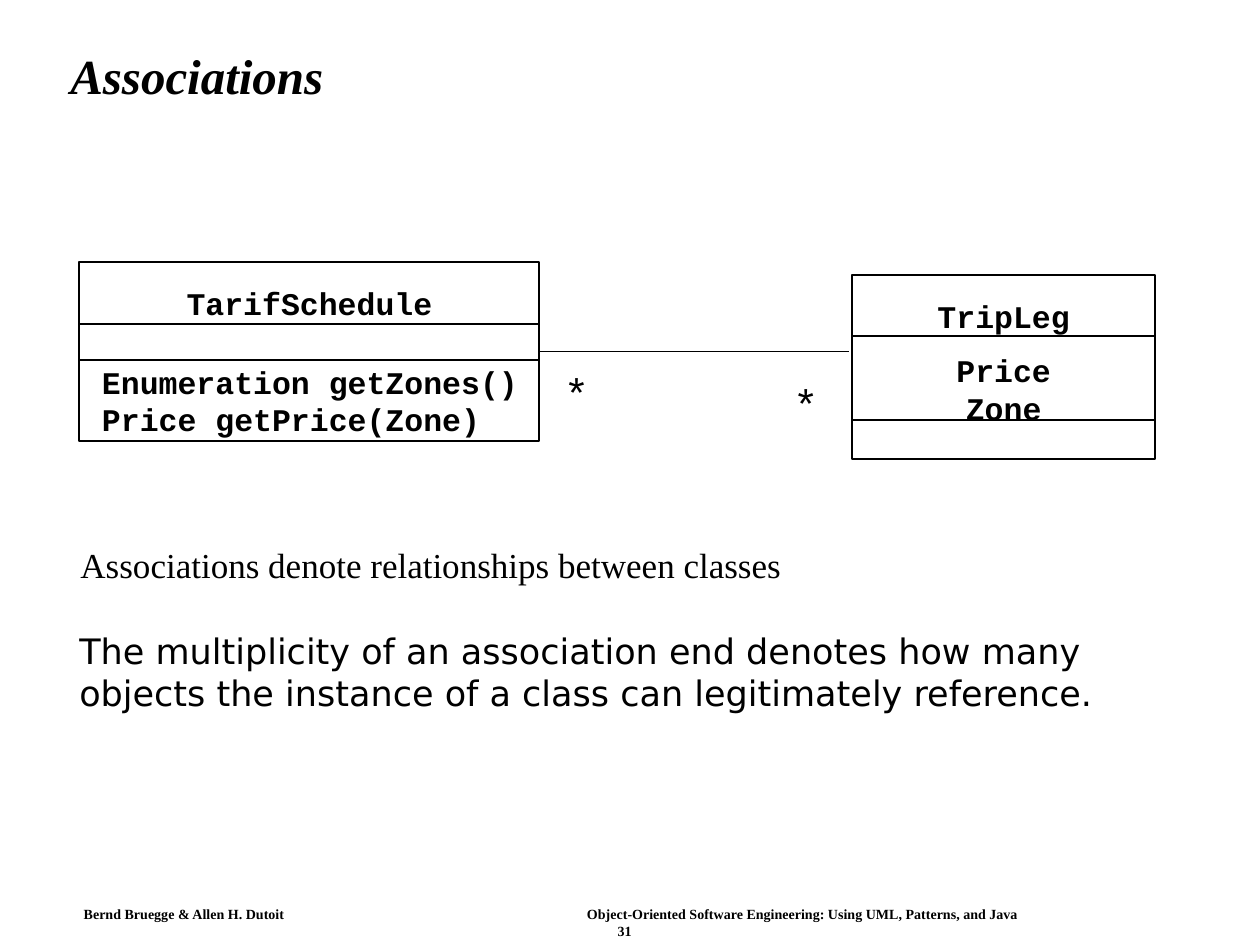
from dataclasses import dataclass

import pptx
import pptx.dml.color
import pptx.enum.shapes
import pptx.enum.text
import pptx.util
from lxml import etree
from pptx.oxml.ns import qn

Pt = pptx.util.Pt
ALIGN = pptx.enum.text.PP_ALIGN
ANCHOR = pptx.enum.text.MSO_ANCHOR


@dataclass(frozen=True)
class Theme:
    ink = pptx.dml.color.RGBColor(0, 0, 0)
    serif = "Times New Roman"
    code = "Courier New"
    symbol = "Arial"
    sans = "DejaVu Sans"
    title_size = 28
    body_size = 20
    code_size = 18
    star_size = 24
    footer_size = 8
    code_leading = 21.6


theme = Theme()
prs = pptx.Presentation()
prs.slide_width, prs.slide_height = Pt(720), Pt(540)
s = prs.slides.add_slide(prs.slide_layouts[6])


def add_text(lines, box, font, size, bold=False, align=ALIGN.LEFT,
             anchor=ANCHOR.TOP, inset=(7.2, 3.6), wrap=True, spacing=None):
    """Add a text box with one paragraph per line and return its paragraphs."""
    tf = s.shapes.add_textbox(*map(Pt, box)).text_frame
    tf.word_wrap = wrap
    tf.vertical_anchor = anchor
    tf.margin_left = tf.margin_right = Pt(inset[0])
    tf.margin_top = tf.margin_bottom = Pt(inset[1])
    tf.text = "\n".join(lines)
    for p in tf.paragraphs:
        p.alignment = align
        p.line_spacing = spacing
        p.font.name, p.font.size = font, Pt(size)
        p.font.bold = bold
        p.font.color.rgb = theme.ink
    return tf.paragraphs


# Title and statements
title, = add_text(["Associations"], (33.1, 17.3, 642.2, 55.4), theme.serif,
                  theme.title_size, bold=True, anchor=ANCHOR.MIDDLE, spacing=0.9)
title.font.italic = True
add_text(["Associations denote relationships between classes"],
         (38.9, 309.6, 650, 35.3), theme.serif, theme.body_size, spacing=0.9)
add_text(["The multiplicity of an association end denotes how many objects "
          "the instance of a class can legitimately reference."],
         (38.2, 356.4, 650, 56), theme.sans, theme.body_size)

# Association line
line = s.shapes.add_connector(pptx.enum.shapes.MSO_CONNECTOR.STRAIGHT,
                              Pt(308.2), Pt(200.9), Pt(485.3), Pt(200.9))
line.line.color.rgb = theme.ink
line.line.width = Pt(0.75)
etree.SubElement(line._element.spPr, qn("a:effectLst"))

# Class compartments: name, attributes, operations
for left, top, width, heights in [
    (45.2, 149.8, 262.8, (35.3, 20.7, 46.1)),
    (486.7, 157, 173.5, (35, 48, 22.3)),
]:
    for height in heights:
        sp = s.shapes.add_shape(pptx.enum.shapes.MSO_SHAPE.RECTANGLE,
                                Pt(left), Pt(top), Pt(width), Pt(height))
        sp.shadow.inherit = False
        sp.fill.background()
        sp.line.color.rgb = theme.ink
        sp.line.width = Pt(1.25)
        top += height

for lines, box, align in [
    (["TarifSchedule"], (106.6, 162.5, 140.4, 21.6), ALIGN.CENTER),
    (["Enumeration getZones()", "Price getPrice(Zone)"],
     (58.3, 207.2, 246, 43.2), ALIGN.LEFT),
    (["TripLeg"], (535.7, 169.7, 75.6, 21.6), ALIGN.CENTER),
    (["Price", "Zone"], (546.5, 200.7, 54, 43.2), ALIGN.CENTER),
]:
    add_text(lines, box, theme.code, theme.code_size, bold=True, align=align,
             inset=(0, 0), wrap=False, spacing=Pt(theme.code_leading))

# Multiplicities
for left, top in [(317.5, 205.2), (448.6, 211.7)]:
    add_text(["*"], (left, top, 23.8, 36), theme.symbol, theme.star_size,
             align=ALIGN.CENTER, anchor=ANCHOR.MIDDLE, wrap=False)

# Footer: authors, tab, book title, then the page number
footer = ["Bernd Bruegge & Allen H. Dutoit\tObject-Oriented Software Engineering: "
          "Using UML, Patterns, and Java", "31"]
credit, page = add_text(footer, (42, 514.8, 630, 24), theme.serif,
                        theme.footer_size, bold=True, inset=(5.8, 2.9))
page.alignment = ALIGN.CENTER
tabs = etree.Element(qn("a:tabLst"))
etree.SubElement(tabs, qn("a:tab"), pos=str(Pt(287.6)), algn="l")
credit._p.get_or_add_pPr().insert(0, tabs)

prs.save("out.pptx")
